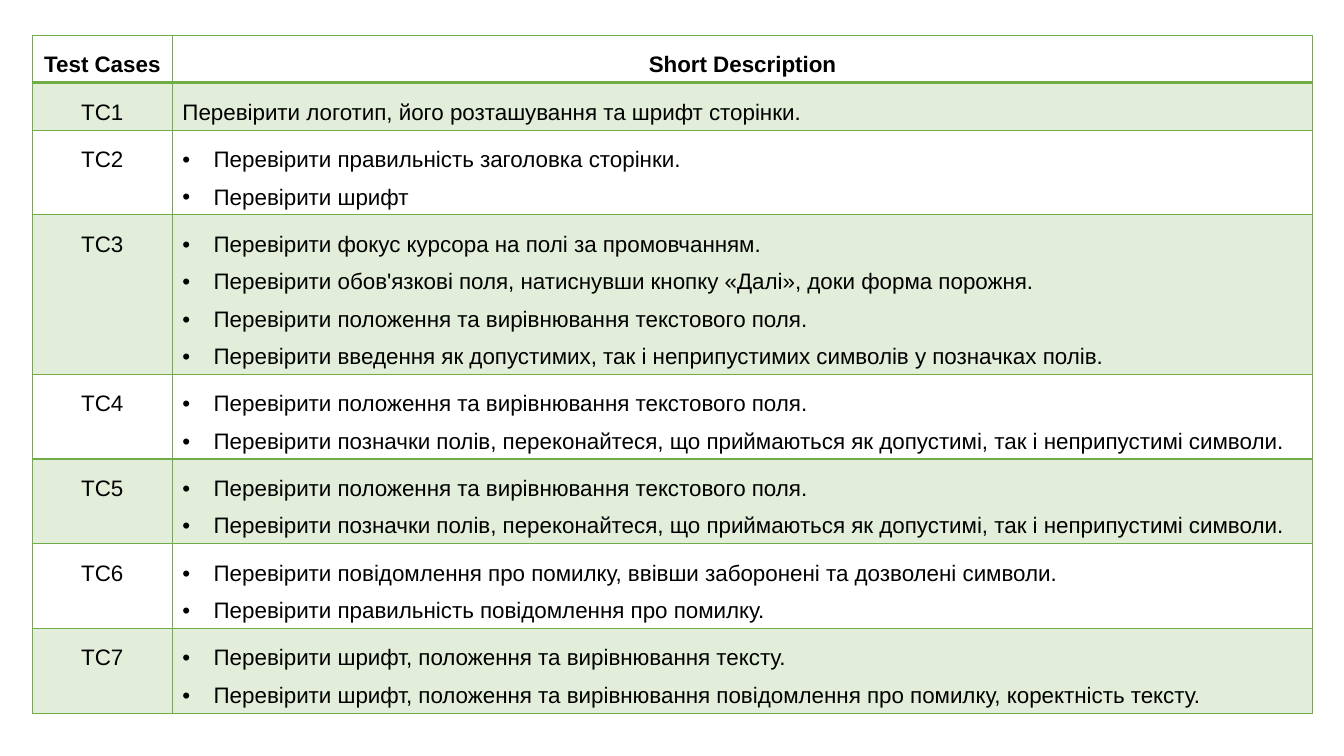
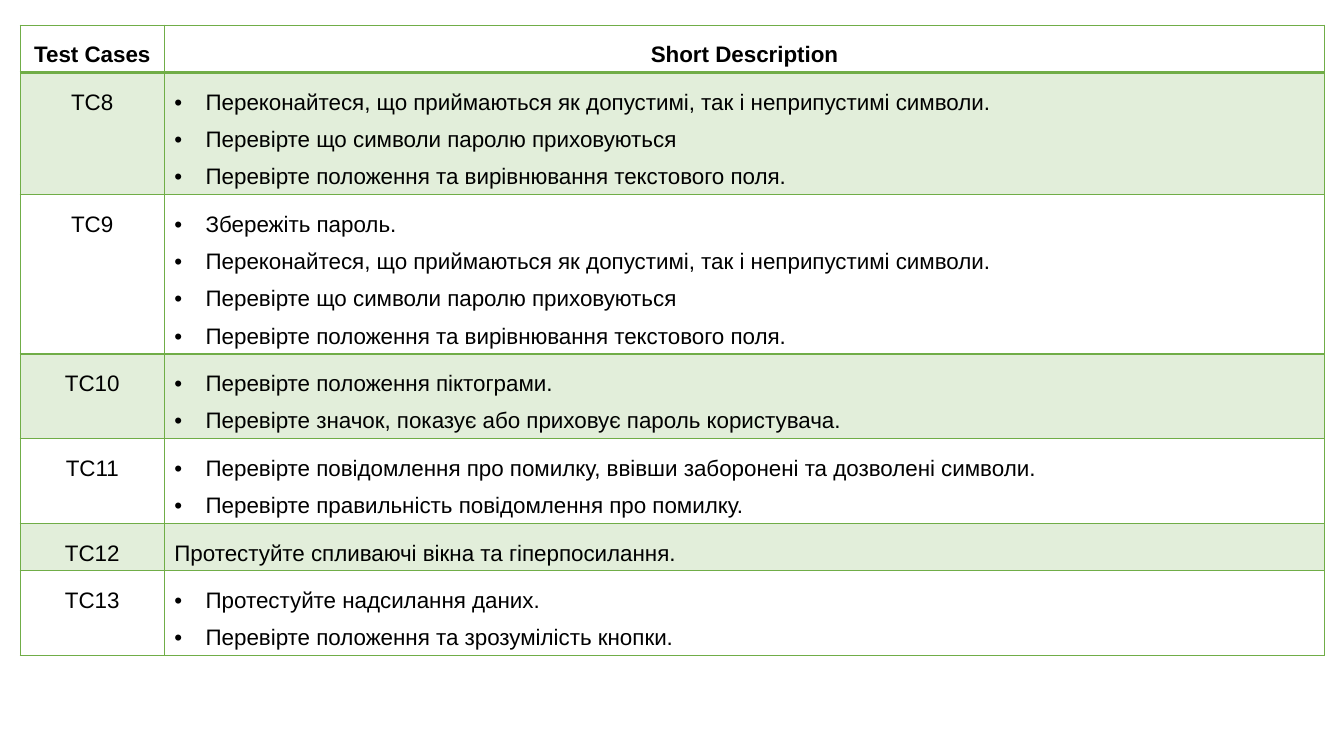
from lxml import etree
from pptx import Presentation
from pptx.dml.color import RGBColor
from pptx.enum.text import MSO_ANCHOR, PP_ALIGN
from pptx.oxml.ns import qn
from pptx.util import Inches, Pt

CENTER, LEFT, TOP = PP_ALIGN.CENTER, PP_ALIGN.LEFT, MSO_ANCHOR.TOP

# Shared style
SLIDE_WIDTH, SLIDE_HEIGHT = 13.33, 7.5
COLORS = {"line": "70AD47", "band": "70AD47", "plain": "FFFFFF", "text": "000000"}
FONT = {"name": "Arial", "size": Pt(16)}
BAND_OPACITY = 20
LINE_SPACING = 1.5
LINE_HEIGHT, ROW_PADDING = 0.37, 0.1
BULLET_INDENT = 0.31
BORDER, HEADER_BORDER = 1, 2
BLANK_LAYOUT = 6
HEADINGS = ("Test Cases", "Short Description")

# Wording used by more than one test case
FIELD_POSITION = "Перевірити положення та вирівнювання текстового поля."
FIELD_LABELS = ("Перевірити позначки полів, переконайтеся, що приймаються "
                "як допустимі, так і неприпустимі символи.")
PASSWORD_CHECKS = [
    "Переконайтеся, що приймаються як допустимі, так і неприпустимі символи.",
    "Перевірте що символи паролю приховуються",
    "Перевірте положення та вирівнювання текстового поля.",
]

# One entry per slide: box (left, top, width), first column width, test cases
SLIDES = [
    {"box": (0.32, 0.35, 12.7), "first_column": 1.39, "cases": {
        "TC1": ["Перевірити логотип, його розташування та шрифт сторінки."],
        "TC2": ["Перевірити правильність заголовка сторінки.", "Перевірити шрифт"],
        "TC3": [
            "Перевірити фокус курсора на полі за промовчанням.",
            "Перевірити обов'язкові поля, натиснувши кнопку «Далі», доки форма порожня.",
            FIELD_POSITION,
            "Перевірити введення як допустимих, так і неприпустимих символів у позначках полів.",
        ],
        "TC4": [FIELD_POSITION, FIELD_LABELS],
        "TC5": [FIELD_POSITION, FIELD_LABELS],
        "TC6": [
            "Перевірити повідомлення про помилку, ввівши заборонені та дозволені символи.",
            "Перевірити правильність повідомлення про помилку.",
        ],
        "TC7": [
            "Перевірити шрифт, положення та вирівнювання тексту.",
            "Перевірити шрифт, положення та вирівнювання повідомлення про помилку, "
            "коректність тексту.",
        ],
    }},
    {"box": (0.2, 0.25, 12.94), "first_column": 1.43, "cases": {
        "TC8": PASSWORD_CHECKS,
        "TC9": ["Збережіть пароль.", *PASSWORD_CHECKS],
        "TC10": [
            "Перевірте положення піктограми.",
            "Перевірте значок, показує або приховує пароль користувача.",
        ],
        "TC11": [
            "Перевірте повідомлення про помилку, ввівши заборонені та дозволені символи.",
            "Перевірте правильність повідомлення про помилку.",
        ],
        "TC12": ["Протестуйте спливаючі вікна та гіперпосилання."],
        "TC13": [
            "Протестуйте надсилання даних.",
            "Перевірте положення та зрозумілість кнопки.",
        ],
    }},
]


def add_color(parent, color):
    """Append an RGB colour element and return it."""
    return etree.SubElement(parent, qn("a:srgbClr"), val=color)


def set_borders(cell, top, bottom):
    """Draw the four sides of a cell; widths are in points."""
    properties = cell._tc.get_or_add_tcPr()
    widths = {"lnL": BORDER, "lnR": BORDER, "lnT": top, "lnB": bottom}
    for side, width in widths.items():
        line = etree.SubElement(properties, qn(f"a:{side}"), w=str(Pt(width)))
        add_color(etree.SubElement(line, qn("a:solidFill")), COLORS["line"])


def set_fill(cell, banded):
    """Tint a banded cell, leave the others plain."""
    cell.fill.solid()
    cell.fill.fore_color.rgb = RGBColor.from_string(COLORS["band" if banded else "plain"])
    if banded:
        color = cell._tc.tcPr.find(f".//{qn('a:solidFill')}[last()]")
        color = cell._tc.tcPr.find(qn("a:solidFill")).find(qn("a:srgbClr"))
        etree.SubElement(color, qn("a:alpha"), val=str(BAND_OPACITY * 1000))


def add_bullet(paragraph):
    """Give a paragraph a hanging bullet."""
    properties = paragraph._p.get_or_add_pPr()
    indent = Inches(BULLET_INDENT)
    properties.set("marL", str(indent))
    properties.set("indent", str(-indent))
    add_color(etree.SubElement(properties, qn("a:buClr")), COLORS["text"])
    etree.SubElement(properties, qn("a:buFont"), typeface=FONT["name"])
    etree.SubElement(properties, qn("a:buChar"), char="•")


def write_cell(cell, lines, alignment, bold):
    """Write one paragraph per line, with bullets when there are several."""
    cell.vertical_anchor = TOP
    frame = cell.text_frame
    for index, text in enumerate(lines):
        paragraph = frame.add_paragraph() if index else frame.paragraphs[0]
        paragraph.alignment = alignment
        paragraph.line_spacing = LINE_SPACING
        if len(lines) > 1:
            add_bullet(paragraph)
        run = paragraph.add_run()
        run.text = text
        for name, value in {**FONT, "bold": bold}.items():
            setattr(run.font, name, value)
        run.font.color.rgb = RGBColor.from_string(COLORS["text"])


def add_case_table(slide, box, first_column, cases):
    """Place the table of test cases in a box, rows as tall as their lines."""
    left, top, width = box
    rows = [([HEADINGS[0]], [HEADINGS[1]])]
    rows += [([name], checks) for name, checks in cases.items()]
    heights = [ROW_PADDING + LINE_HEIGHT * len(checks) for _, checks in rows]
    table = slide.shapes.add_table(
        len(rows), len(HEADINGS), Inches(left), Inches(top),
        Inches(width), Inches(sum(heights))).table
    table.first_row = table.horz_banding = False
    for column, column_width in zip(table.columns, (first_column, width - first_column)):
        column.width = Inches(column_width)

    for row_index, (contents, height) in enumerate(zip(rows, heights)):
        table.rows[row_index].height = Inches(height)
        is_header = row_index == 0
        top_border = HEADER_BORDER if row_index == 1 else BORDER
        bottom_border = HEADER_BORDER if is_header else BORDER
        for column_index, lines in enumerate(contents):
            cell = table.cell(row_index, column_index)
            centered = is_header or column_index == 0
            write_cell(cell, lines, CENTER if centered else LEFT, is_header)
            set_borders(cell, top_border, bottom_border)
            set_fill(cell, banded=row_index % 2 == 1)


def main():
    presentation = Presentation()
    presentation.slide_width = Inches(SLIDE_WIDTH)
    presentation.slide_height = Inches(SLIDE_HEIGHT)
    for content in SLIDES:
        slide = presentation.slides.add_slide(presentation.slide_layouts[BLANK_LAYOUT])
        add_case_table(slide, **content)
    presentation.save("out.pptx")


if __name__ == "__main__":
    main()
